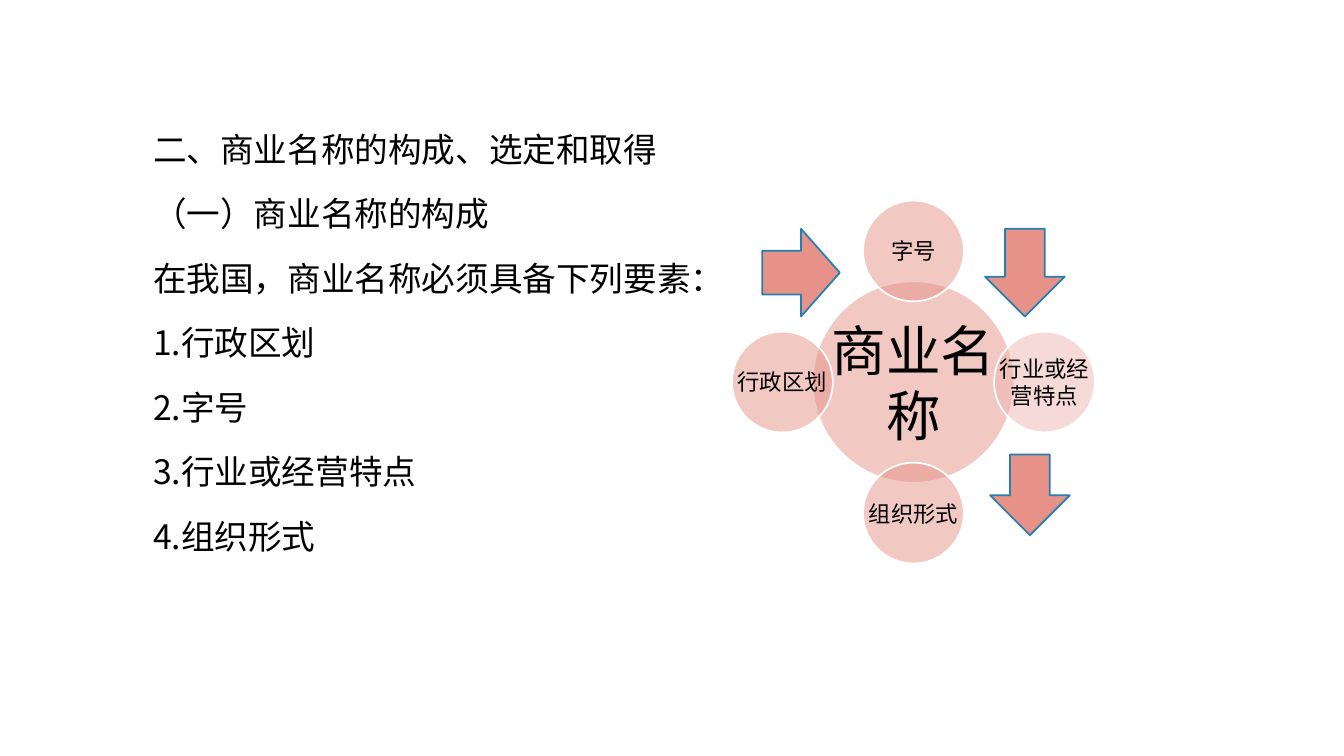
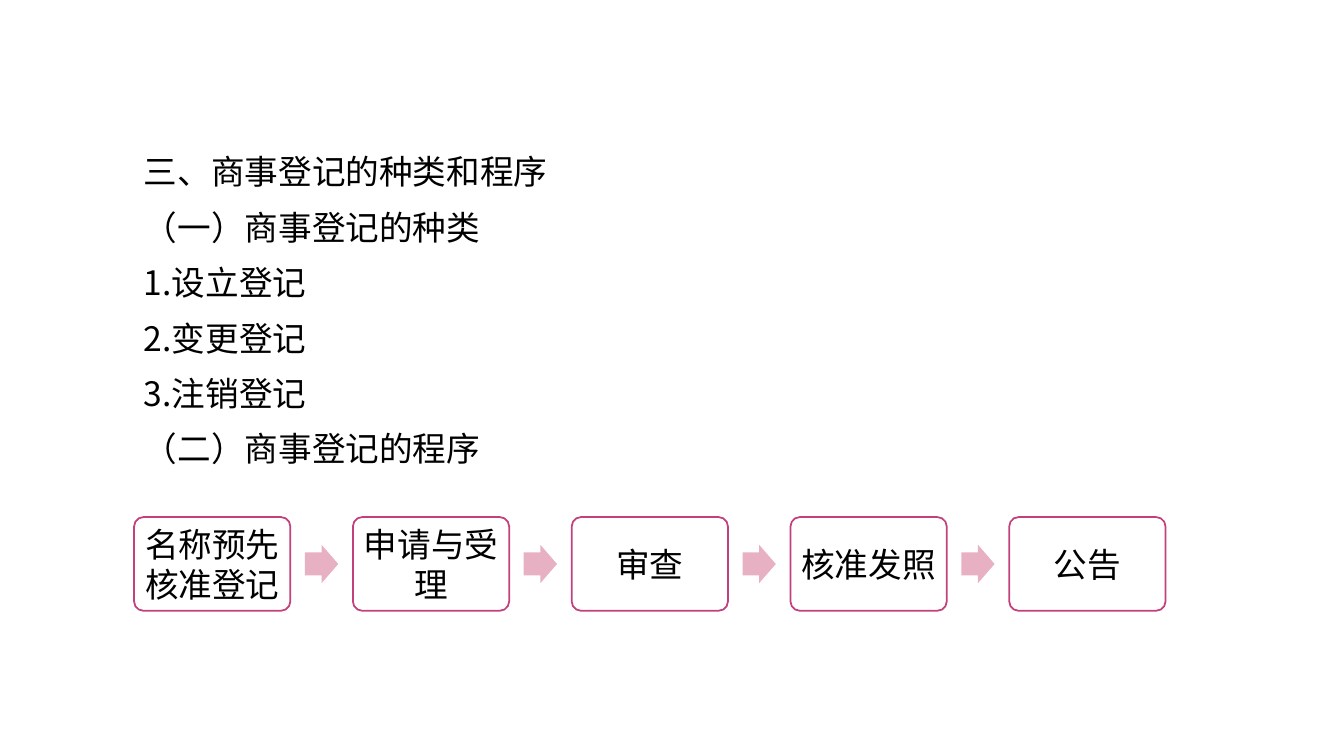
import pptx
import pptx.dml.color
import pptx.enum.shapes
import pptx.enum.text
import pptx.oxml
import pptx.oxml.ns
import pptx.util

Inches = pptx.util.Inches
Pt = pptx.util.Pt
SHAPE = pptx.enum.shapes.MSO_SHAPE
ANCHOR = pptx.enum.text.MSO_ANCHOR
ALIGN = pptx.enum.text.PP_ALIGN

CJK_FONT = "Noto Sans CJK SC"
LABEL_FONT = "Calibri"
BLACK, WHITE = "000000", "FFFFFF"
CORAL, PALE_CORAL, BLUE = "E69289", "EFB7B1", "247FAF"
ROSE, PALE_ROSE = "C2407B", "E8B1C3"


def rgb(value):
    """Turn a hex string into a colour."""
    return pptx.dml.color.RGBColor.from_string(value)


def apply(obj, formats):
    """Set every attribute in a dict of format values."""
    for name, value in formats.items():
        setattr(obj, name, value)


def add_shape(s, kind, box, fill, line=None, alpha=None, adjust=()):
    """Draw a preset shape in a box given in inches."""
    sp = s.shapes.add_shape(kind, *map(Inches, box))
    sp.shadow.inherit = False
    for i, value in enumerate(adjust):
        sp.adjustments[i] = value
    sp.fill.solid()
    sp.fill.fore_color.rgb = rgb(fill)
    if alpha is not None:
        qn = pptx.oxml.ns.qn
        clr = sp.fill._xPr.find(qn("a:solidFill")).find(qn("a:srgbClr"))
        clr.append(clr.makeelement(qn("a:alpha"), {"val": str(alpha * 1000)}))
    if line:
        sp.line.color.rgb = rgb(line)
        sp.line.width = Pt(1.25)
    else:
        sp.line.fill.background()
    return sp


def write(tf, lines, size, font, spacing, gap=0, inset=0.05,
          align=ALIGN.CENTER, anchor=ANCHOR.MIDDLE):
    """Fill a text frame with evenly spaced paragraphs."""
    margins = ("margin_left", "margin_right", "margin_top", "margin_bottom")
    apply(tf, {"word_wrap": True, "vertical_anchor": anchor,
               **dict.fromkeys(margins, Inches(inset))})
    for i, line in enumerate(lines):
        p = tf.add_paragraph() if i else tf.paragraphs[0]
        apply(p, {"alignment": align, "line_spacing": Pt(spacing),
                  "space_before": Pt(gap if i else 0)})
        r = p.add_run()
        r.text = line
        apply(r.font, {"size": Pt(size), "name": font})
        r.font.color.rgb = rgb(BLACK)
        latin = r.font._element.find(pptx.oxml.ns.qn("a:latin"))
        latin.addnext(latin.makeelement(pptx.oxml.ns.qn("a:ea"),
                                        {"typeface": CJK_FONT}))


def add_body(s, box, lines, spacing, gap):
    """Place the outline text of a slide."""
    tf = s.shapes.add_textbox(*map(Inches, box)).text_frame
    write(tf, lines, 24, CJK_FONT, spacing, gap, 0.1, ALIGN.LEFT, ANCHOR.TOP)


def add_circle(s, cx, cy, size, text, points, fill=CORAL):
    """Draw a translucent circle with a label across its full width."""
    box = (cx - size / 2, cy - size / 2, size, size)
    add_shape(s, SHAPE.OVAL, box, fill, WHITE, 50)
    tf = s.shapes.add_textbox(*map(Inches, box)).text_frame
    write(tf, [text], points, LABEL_FONT, points * 1.2, inset=0.02)


def add_radial(s, box, hub, satellites):
    """Draw a hub circle with satellites clockwise from the top."""
    left, top, width, height = box
    cx, cy = left + width / 2, top + height / 2
    orbit = (width - 1) / 2
    add_circle(s, cx, cy, 2, hub, 39)
    directions = ((0, -1), (1, 0), (0, 1), (-1, 0))
    for (dx, dy), (text, fill) in zip(directions, satellites):
        add_circle(s, cx + dx * orbit, cy + dy * orbit, 1, text, 16, fill)
    arrows = ((SHAPE.RIGHT_ARROW, 0.3, 0.28, 0.77, 0.87),
              (SHAPE.DOWN_ARROW, 2.51, 0.28, 0.79, 0.87),
              (SHAPE.DOWN_ARROW, 2.56, 2.52, 0.79, 0.8))
    for kind, dx, dy, w, h in arrows:
        add_shape(s, kind, (left + dx, top + dy, w, h), CORAL, BLUE)


def add_flow(s, box, steps):
    """Draw equal step boxes with arrows centred in the gaps."""
    left, top, width, height = box
    step_w, arrow_w, arrow_h = 1.55, 0.33, 0.38
    pitch = (width - step_w) / (len(steps) - 1)
    for i, text in enumerate(steps):
        x = left + i * pitch
        if i:
            arrow_x = x - (pitch - step_w + arrow_w) / 2
            arrow_y = top + (height - arrow_h) / 2
            add_shape(s, SHAPE.RIGHT_ARROW, (arrow_x, arrow_y, arrow_w, arrow_h),
                      PALE_ROSE, adjust=(0.6, 0.5))
        sp = add_shape(s, SHAPE.ROUNDED_RECTANGLE, (x, top, step_w, height),
                       WHITE, ROSE, adjust=(0.1,))
        write(sp.text_frame, [text], 24, LABEL_FONT, 29)


def build_name_slide(s):
    """Build the slide on the parts of a trade name."""
    add_body(s, (1.42, 1.08, 6, 4.7),
             ["二、商业名称的构成、选定和取得", "（一）商业名称的构成",
              "在我国，商业名称必须具备下列要素：", "1.行政区划", "2.字号",
              "3.行业或经营特点", "4.组织形式"], 36, 10)
    add_radial(s, (7.26, 1.99, 3.6, 3.6), "商业名称",
               [("字号", CORAL), ("行业或经营特点", PALE_CORAL),
                ("组织形式", CORAL), ("行政区划", CORAL)])


def build_registration_slide(s):
    """Build the slide on kinds and steps of registration."""
    add_body(s, (1.33, 1.4, 8.44, 3.5),
             ["三、商事登记的种类和程序", "（一）商事登记的种类", "1.设立登记",
              "2.变更登记", "3.注销登记", "（二）商事登记的程序"], 28.8, 10.8)
    add_flow(s, (1.33, 5.13, 10.23, 0.93),
             ["名称预先核准登记", "申请与受理", "审查", "核准发照", "公告"])


def main():
    """Build and save the presentation."""
    prs = pptx.Presentation()
    apply(prs, {"slide_width": Inches(13.33), "slide_height": Inches(7.5)})
    for build in (build_name_slide, build_registration_slide):
        build(prs.slides.add_slide(prs.slide_layouts[6]))
    prs.save("out.pptx")


if __name__ == "__main__":
    main()
